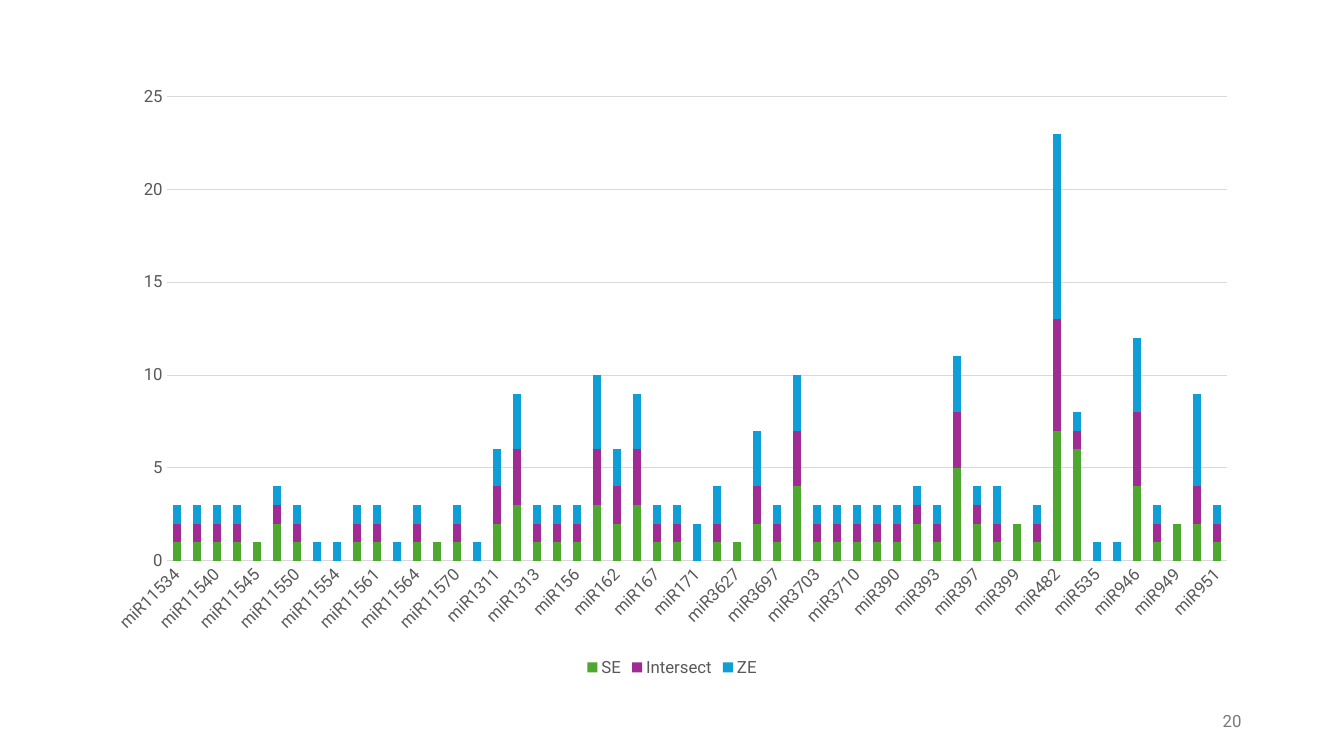
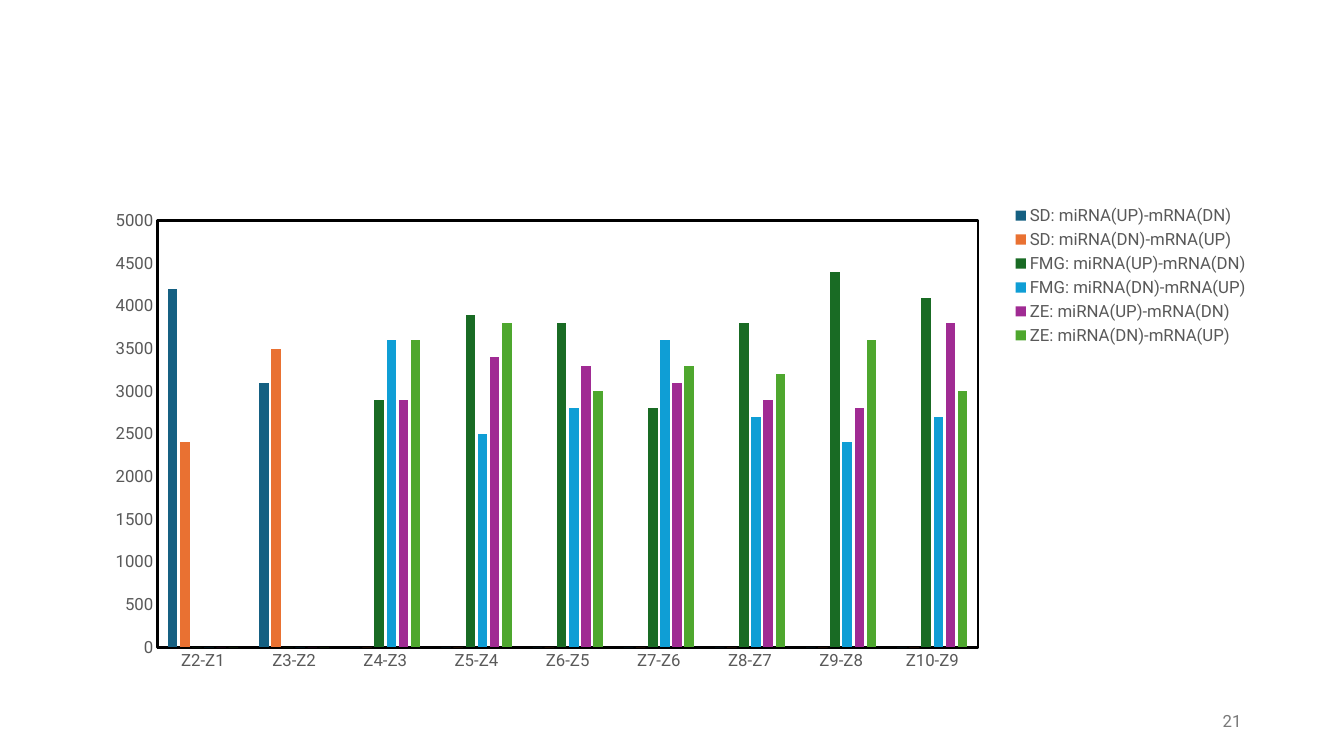
from pptx import Presentation
from pptx.chart.data import CategoryChartData as Data
from pptx.dml.color import RGBColor
from pptx.enum.chart import XL_CHART_TYPE as Kind, XL_LEGEND_POSITION as Pos, XL_TICK_MARK as Tick
from pptx.enum.text import MSO_ANCHOR as Anchor, PP_ALIGN as Align
from pptx.oxml import parse_xml
from pptx.oxml.ns import nsdecls
from pptx.util import Cm, Pt

FACE = "Roboto"
GREY, PALE, BLACK, MUTE = "595959", "D9D9D9", "000000", "797979"
TEAL, ORANGE, PINE, BLUE, PLUM, GREEN = "156082", "E97132", "196B24", "0F9ED5", "A02B93", "4EA72E"

MIRS = """11534 11535 11540 11544 11545 11546 11550 11551 11554 11560 11561 11562 11564 11565
11570 11573 1311 1312 1313 1314 156 159 162 166 167 168 171 319 3627 3693 3697 3701 3703 3709
3710 3712 390 391 393 396 397 398 399 408 482 529 535 536 946 947 949 950 951"""

COUNTS = [
    ("SE", GREEN, [1, 1, 1, 1, 1, 2, 1, 0, 0, 1, 1, 0, 1, 1, 1, 0, 2, 3,
                   1, 1, 1, 3, 2, 3, 1, 1, 0, 1, 1, 2, 1, 4, 1, 1, 1, 1,
                   1, 2, 1, 5, 2, 1, 2, 1, 7, 6, 0, 0, 4, 1, 2, 2, 1]),
    ("Intersect", PLUM, [1, 1, 1, 1, 0, 1, 1, 0, 0, 1, 1, 0, 1, 0, 1, 0, 2, 3,
                         1, 1, 1, 3, 2, 3, 1, 1, 0, 1, 0, 2, 1, 3, 1, 1, 1, 1,
                         1, 1, 1, 3, 1, 1, 0, 1, 6, 1, 0, 0, 4, 1, 0, 2, 1]),
    ("ZE", BLUE, [1, 1, 1, 1, 0, 1, 1, 1, 1, 1, 1, 1, 1, 0, 1, 1, 2, 3,
                  1, 1, 1, 4, 2, 3, 1, 1, 2, 2, 0, 3, 1, 3, 1, 1, 1, 1,
                  1, 1, 1, 3, 1, 2, 0, 1, 10, 1, 1, 1, 4, 1, 0, 5, 1]),
]

PAIRS = [
    ("SD: miRNA(UP)-mRNA(DN)", TEAL, [4200, 3100, 0, 0, 0, 0, 0, 0, 0]),
    ("SD: miRNA(DN)-mRNA(UP)", ORANGE, [2400, 3500, 0, 0, 0, 0, 0, 0, 0]),
    ("FMG: miRNA(UP)-mRNA(DN)", PINE, [0, 0, 2900, 3900, 3800, 2800, 3800, 4400, 4100]),
    ("FMG: miRNA(DN)-mRNA(UP)", BLUE, [0, 0, 3600, 2500, 2800, 3600, 2700, 2400, 2700]),
    ("ZE: miRNA(UP)-mRNA(DN)", PLUM, [0, 0, 2900, 3400, 3300, 3100, 2900, 2800, 3800]),
    ("ZE: miRNA(DN)-mRNA(UP)", GREEN, [0, 0, 3600, 3800, 3000, 3300, 3200, 3600, 3000]),
]


def put(item, **vals):
    for name, val in vals.items():
        setattr(item, name, val)


def paint(color, tone):
    color.rgb = RGBColor.from_string(tone)


def type_set(font, tone=GREY, size=12):
    put(font, name=FACE, size=Pt(size))
    paint(font.color, tone)


def rule(line, tone, width):
    line.width = Pt(width)
    paint(line.color, tone)


def number(slide, text):
    box = slide.shapes.add_textbox(Cm(23.92), Cm(17.65), Cm(7.62), Cm(1.01))
    put(box.text_frame, word_wrap=True, vertical_anchor=Anchor.MIDDLE)
    para = box.text_frame.paragraphs[0]
    para.alignment = Align.RIGHT
    run = para.add_run()
    run.text = text
    type_set(run.font, MUTE)


def columns(slide, kind, cats, rows, top, tall, gap, overlap, peak, step, place, base):
    data = Data()
    data.categories = cats
    for name, tone, vals in rows:
        data.add_series(name, vals)
    frame = slide.shapes.add_chart(kind, Cm(2.33), Cm(top), Cm(29.21), Cm(tall), data)
    chart = frame.chart
    put(chart, has_title=False, has_legend=True)
    type_set(chart.font, BLACK, 10)
    put(chart.legend, position=place, include_in_layout=False)
    type_set(chart.legend.font)
    plot = chart.plots[0]
    put(plot, gap_width=gap, overlap=overlap, vary_by_categories=False)
    for bar, (name, tone, vals) in zip(plot.series, rows):
        bar.format.fill.solid()
        paint(bar.format.fill.fore_color, tone)
        bar.invert_if_negative = False
    for axis in (chart.category_axis, chart.value_axis):
        put(axis, major_tick_mark=Tick.NONE, minor_tick_mark=Tick.NONE, has_major_gridlines=False)
        type_set(axis.tick_labels.font)
    rule(chart.category_axis.format.line, *base)
    put(chart.value_axis, minimum_scale=0, maximum_scale=peak, major_unit=step)
    chart.value_axis.format.line.fill.background()
    return chart


def area(chart, x, y, w, h):
    zone = chart.element.xpath("c:chart/c:plotArea")[0]
    for old in zone.xpath("c:layout"):
        zone.remove(old)
    spots = "".join(f'<c:{tag} val="{val}"/>' for tag, val in zip("xywh", (x, y, w, h)))
    modes = '<c:layoutTarget val="inner"/><c:xMode val="edge"/><c:yMode val="edge"/>'
    zone.insert(0, parse_xml(
        f'<c:layout {nsdecls("c")}><c:manualLayout>{modes}{spots}</c:manualLayout></c:layout>'))
    return zone


def edge(zone, tone, width):
    zone.append(parse_xml(
        f'<c:spPr {nsdecls("c", "a")}><a:noFill/><a:ln w="{Pt(width)}"><a:solidFill>'
        f'<a:srgbClr val="{tone}"/></a:solidFill></a:ln></c:spPr>'))


def counts(slide):
    cats = [f"miR{code}" for code in MIRS.split()]
    chart = columns(slide, Kind.COLUMN_STACKED, cats, COUNTS, 1.9, 15.27,
                    150, 100, 25, 5, Pos.BOTTOM, (PALE, 0.75))
    chart.value_axis.has_major_gridlines = True
    rule(chart.value_axis.major_gridlines.format.line, PALE, 0.75)
    zone = area(chart, 0.064, 0.035, 0.915, 0.766)
    zone.xpath("c:catAx/c:txPr/a:bodyPr")[0].set("rot", "-2700000")


def pairs(slide):
    cats = [f"Z{n + 1}-Z{n}" for n in range(1, 10)]
    chart = columns(slide, Kind.COLUMN_CLUSTERED, cats, PAIRS, 5.08, 12.09,
                    219, -27, 5000, 500, Pos.CORNER, (BLACK, 2))
    edge(area(chart, 0.056, 0.04, 0.708, 0.889), BLACK, 2)


def main():
    deck = Presentation()
    put(deck, slide_width=Cm(33.87), slide_height=Cm(19.05))
    for page, draw in enumerate((counts, pairs), 20):
        slide = deck.slides.add_slide(deck.slide_layouts[6])
        draw(slide)
        number(slide, str(page))
    deck.save("out.pptx")


if __name__ == "__main__":
    main()
